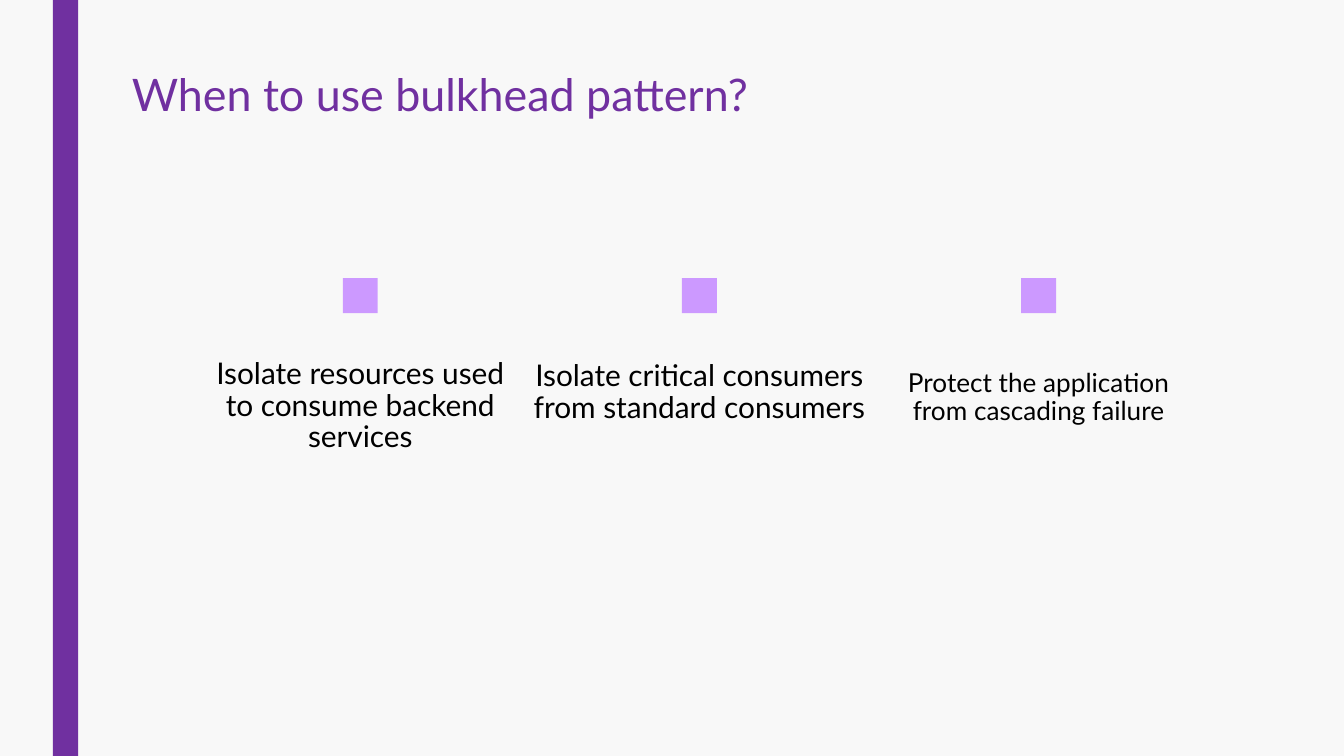
from pptx import Presentation
from pptx.dml.color import RGBColor
from pptx.enum.shapes import MSO_SHAPE as Shape
from pptx.enum.text import MSO_ANCHOR as Anchor, MSO_AUTO_SIZE as AutoSize, PP_ALIGN as Align
from pptx.util import Cm, Pt

COLORS = {
    "background": "F8F8F8",
    "purple": "7030A0",
    "lilac": "CC99FF",
    "black": "000000",
}
FONT = "Lato"
SLIDE_WIDTH, SLIDE_HEIGHT = 25.4, 14.29

# Each use case: text, font size, box width, box top, box height (cm)
USE_CASES = [
    ("Isolate resources used to consume backend services", 16, 6.4, 6.38, 2.46),
    ("Isolate critical consumers from standard consumers", 16, 7.42, 6.05, 2.24),
    ("Protect the application from cascading failure", 14, 5.72, 6.3, 2.01),
]
FIRST_CENTER, COLUMN_PITCH = 6.81, 6.41
MARKER_SIZE, MARKER_TOP = 0.66, 5.26


def color(name):
    return RGBColor.from_string(COLORS[name])


def place(shape, left, top, width, height):
    shape.left, shape.top = Cm(left), Cm(top)
    shape.width, shape.height = Cm(width), Cm(height)


def add_block(slide, left, top, width, height, fill):
    block = slide.shapes.add_shape(
        Shape.RECTANGLE, Cm(left), Cm(top), Cm(width), Cm(height))
    block.shadow.inherit = False
    block.fill.solid()
    block.fill.fore_color.rgb = color(fill)
    block.line.fill.background()


def write(shape, text, size, text_color, align, anchor):
    frame = shape.text_frame
    frame.text = text
    frame.word_wrap = True
    frame.auto_size = AutoSize.NONE
    frame.vertical_anchor = anchor
    frame.margin_left = frame.margin_right = Cm(0.25)
    frame.margin_top = frame.margin_bottom = Cm(0.25)
    paragraph = frame.paragraphs[0]
    paragraph.alignment = align
    paragraph.line_spacing = 0.89
    paragraph.space_before = Pt(0)
    paragraph.font.name = FONT
    paragraph.font.size = Pt(size)
    paragraph.font.color.rgb = color(text_color)


def add_use_case(slide, center, text, size, width, top, height):
    label = slide.shapes.add_textbox(
        Cm(center - width / 2), Cm(top), Cm(width), Cm(height))
    write(label, text, size, "black", Align.CENTER, Anchor.BOTTOM)
    add_block(slide, center - MARKER_SIZE / 2, MARKER_TOP,
              MARKER_SIZE, MARKER_SIZE, "lilac")


def main():
    deck = Presentation()
    deck.slide_width, deck.slide_height = Cm(SLIDE_WIDTH), Cm(SLIDE_HEIGHT)
    slide = deck.slides.add_slide(deck.slide_layouts[5])
    slide.background.fill.solid()
    slide.background.fill.fore_color.rgb = color("background")

    # Side stripe
    add_block(slide, 1, 0, 0.48, SLIDE_HEIGHT, "purple")

    # Title
    title = slide.shapes.title
    place(title, 2.24, 1.14, 18.85, 2.03)
    write(title, "When to use bulkhead pattern?", 24, "purple", Align.LEFT, Anchor.TOP)

    # Use cases in equally spaced columns
    for column, use_case in enumerate(USE_CASES):
        add_use_case(slide, FIRST_CENTER + column * COLUMN_PITCH, *use_case)

    deck.save("out.pptx")


if __name__ == "__main__":
    main()
